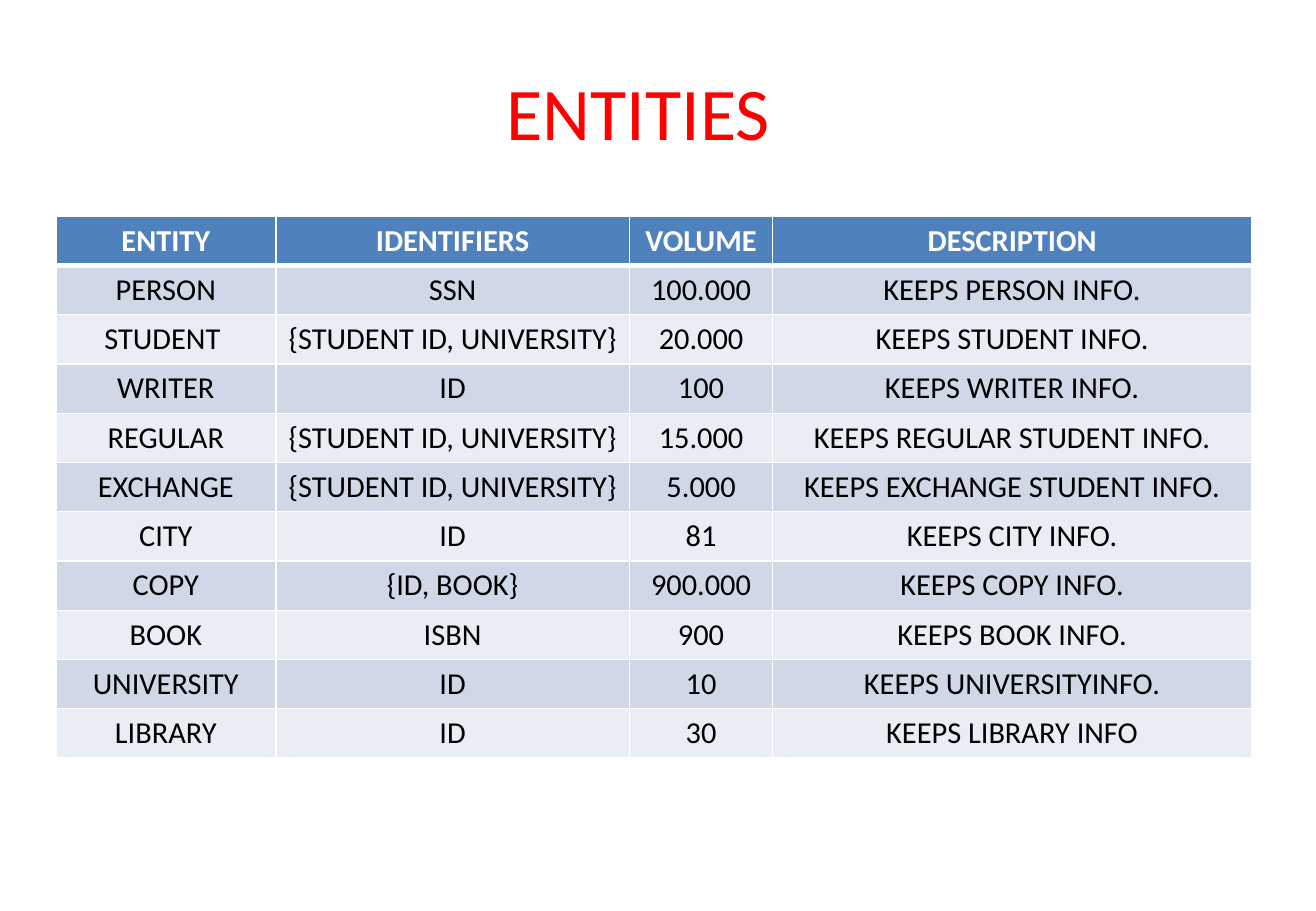
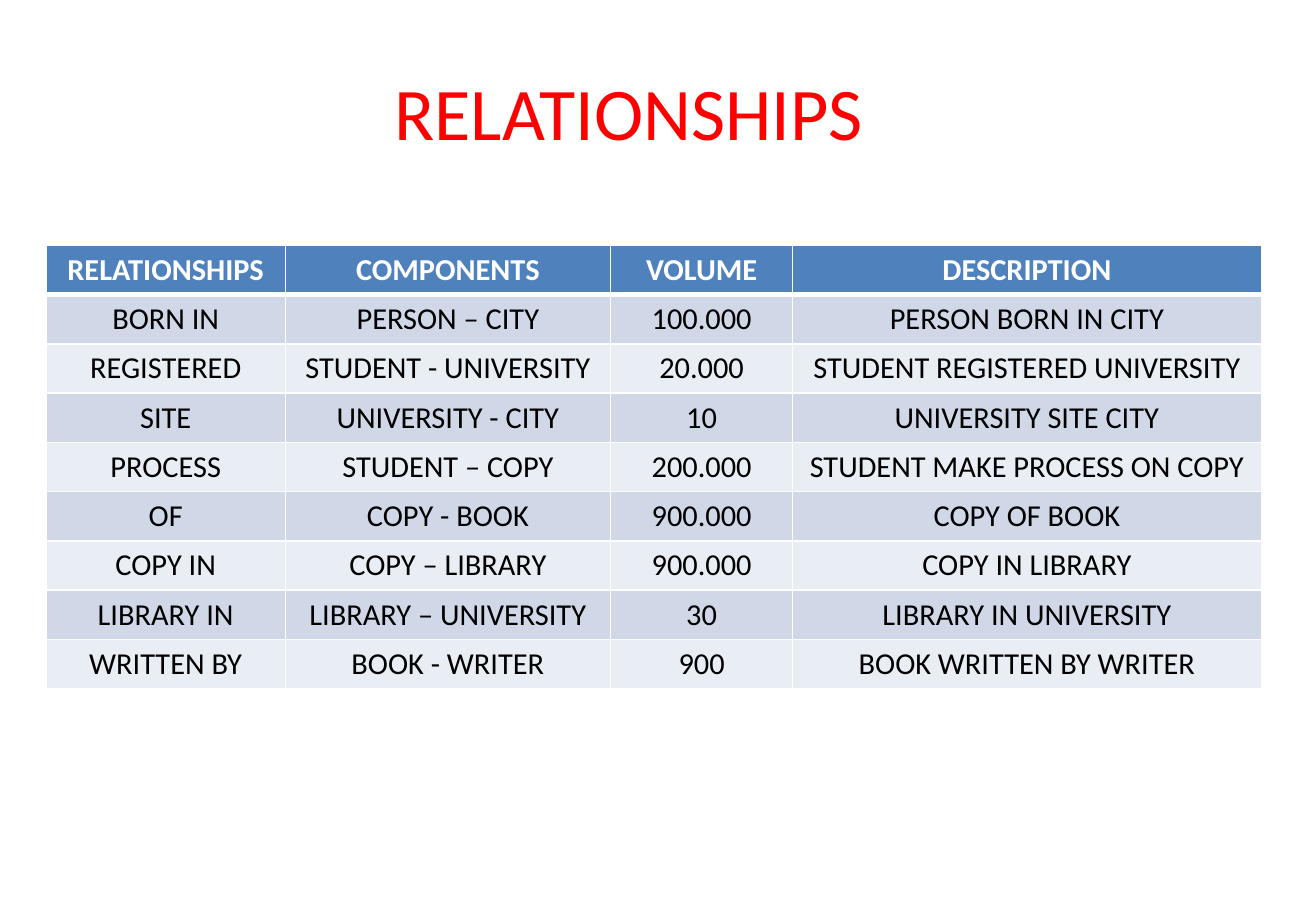
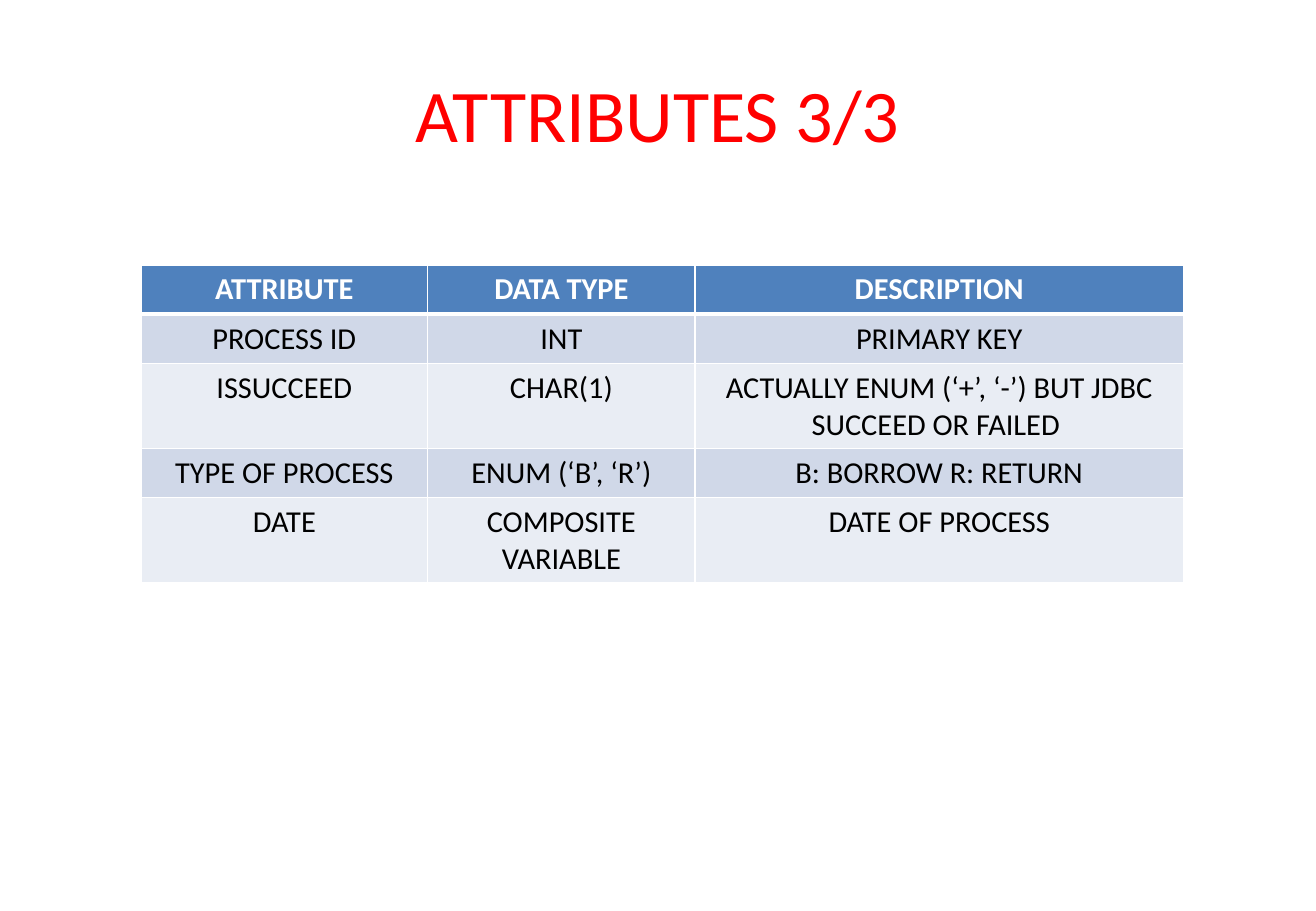
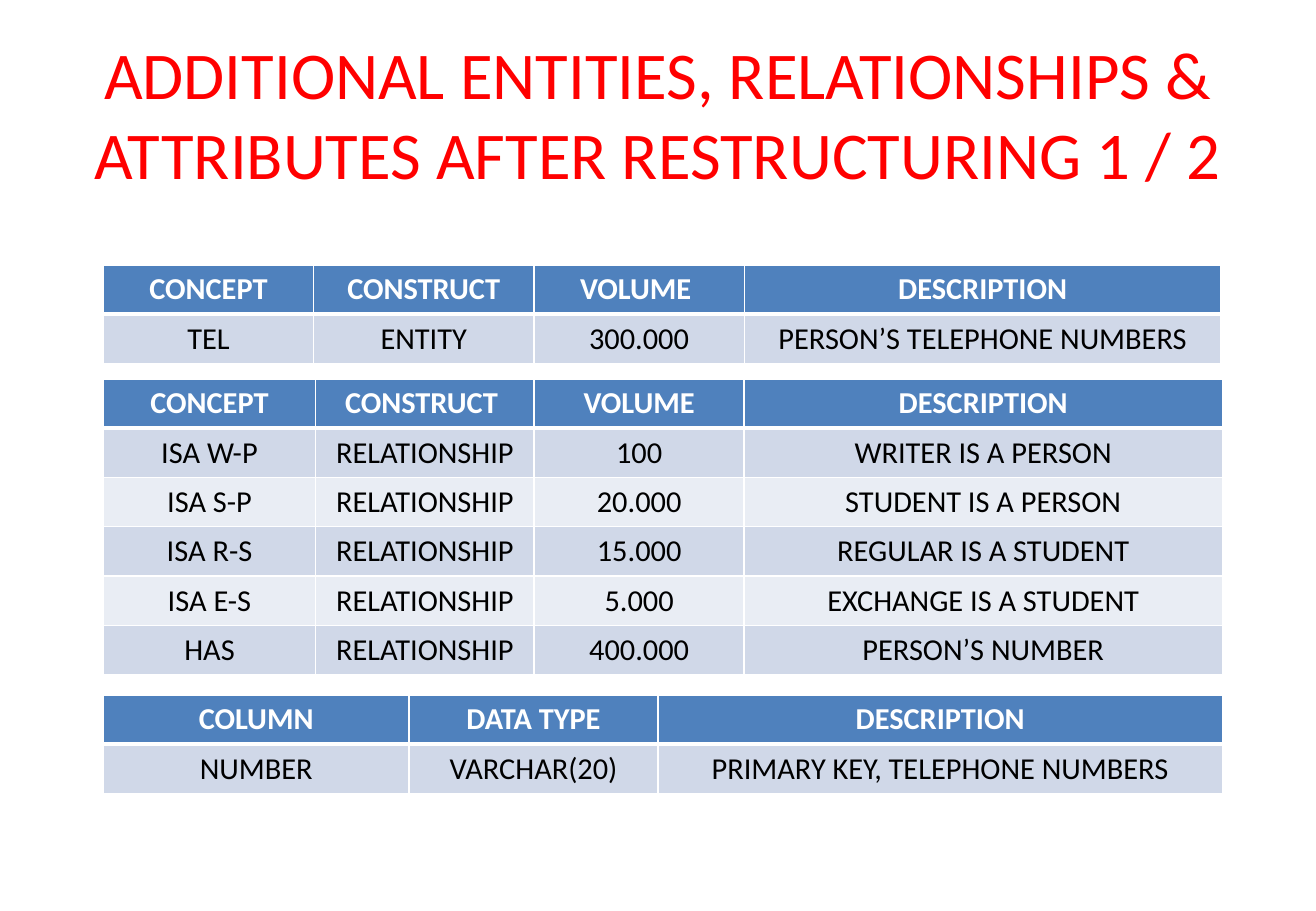
import pptx
import pptx.util
import pptx.dml.color
import pptx.enum.text
import pptx.oxml
import pptx.oxml.ns

Inches = pptx.util.Inches
Pt = pptx.util.Pt
RGB = pptx.dml.color.RGBColor.from_string
CENTER = pptx.enum.text.PP_ALIGN.CENTER
MIDDLE = pptx.enum.text.MSO_ANCHOR.MIDDLE

THEME = {
    "title": {"name": "Calibri", "size": Pt(44), "color": "FF0000", "bold": False},
    "head": {"name": "Calibri", "size": Pt(18), "color": "FFFFFF", "bold": True},
    "body": {"name": "Calibri", "size": Pt(18), "color": "000000", "bold": False},
    "small": Pt(39.6),
    "top": "4F81BD",
    "bands": ["D0D8E8", "E9EDF4"],
    "rule": "FFFFFF",
    "thin": Pt(1),
    "thick": Pt(3),
    "row": Inches(29.2 / 72),
}


def style(frame, form):
    """Centre every paragraph of a frame and apply a text format."""
    for para in frame.paragraphs:
        para.alignment = CENTER
        for run in para.runs:
            for key, value in form.items():
                if key == "color":
                    run.font.color.rgb = RGB(value)
                else:
                    setattr(run.font, key, value)


def title(slide, box, text, size=None):
    """Place the slide title in its box."""
    frame = slide.shapes.add_textbox(*map(Inches, box)).text_frame
    for key, value in {"word_wrap": True, "vertical_anchor": MIDDLE, "text": text}.items():
        setattr(frame, key, value)
    form = THEME["title"]
    style(frame, {**form, "size": size or form["size"]})


def edge(cell, sides):
    """Draw the borders of a cell, given as a width for each side."""
    props = cell._tc.get_or_add_tcPr()
    for side, width in sides.items():
        props.append(pptx.oxml.parse_xml(
            f'<a:ln{side} {pptx.oxml.ns.nsdecls("a")} w="{width}"><a:solidFill>'
            f'<a:srgbClr val="{THEME["rule"]}"/></a:solidFill></a:ln{side}>'))


def table(slide, box, cols, rows):
    """Place a table with a header row and banded body rows."""
    left, top, width = map(Inches, box)
    grid = slide.shapes.add_table(
        len(rows), len(cols), left, top, width, THEME["row"] * len(rows)).table
    for col, part in zip(grid.columns, cols):
        col.width = int(width * part / sum(cols))
    thin, thick = THEME["thin"], THEME["thick"]
    for i, row in enumerate(rows):
        grid.rows[i].height = THEME["row"]
        fill = THEME["bands"][(i - 1) % 2] if i else THEME["top"]
        sides = {"L": thin, "R": thin, "T": thick if i == 1 else thin,
                 "B": thin if i else thick}
        for j, text in enumerate(row):
            cell = grid.cell(i, j)
            cell.text = text
            style(cell.text_frame, THEME["body" if i else "head"])
            edge(cell, sides)
            cell.fill.solid()
            cell.fill.fore_color.rgb = RGB(fill)


def page(deck, head, tables):
    """Add a slide with a title and its tables."""
    slide = deck.slides.add_slide(deck.slide_layouts[6])
    title(slide, *head)
    for parts in tables:
        table(slide, *parts)


PAIR = "{STUDENT ID, UNIVERSITY}"
LINK = "RELATIONSHIP"

PAGES = [
    (((0.38, 0.29, 9.75, 1.25), "ENTITIES"), [
        ((0.46, 1.78, 9.84), [1.81, 2.91, 1.18, 3.94], [
            ("ENTITY", "IDENTIFIERS", "VOLUME", "DESCRIPTION"),
            ("PERSON", "SSN", "100.000", "KEEPS PERSON INFO."),
            ("STUDENT ", PAIR, "20.000", "KEEPS STUDENT INFO."),
            ("WRITER", "ID", "100", "KEEPS WRITER INFO."),
            ("REGULAR", PAIR, "15.000", "KEEPS REGULAR STUDENT INFO."),
            ("EXCHANGE", PAIR, "5.000", "KEEPS EXCHANGE STUDENT INFO."),
            ("CITY", "ID", "81", "KEEPS CITY INFO."),
            ("COPY", "{ID, BOOK}", "900.000", "KEEPS COPY INFO."),
            ("BOOK", "ISBN", "900", "KEEPS BOOK INFO."),
            ("UNIVERSITY", "ID", "10", "KEEPS UNIVERSITYINFO."),
            ("LIBRARY", "ID", "30", "KEEPS LIBRARY INFO"),
        ]),
    ]),
    (((0.3, 0.29, 9.75, 1.25), "RELATIONSHIPS"), [
        ((0.38, 2.02, 10), [1.97, 2.68, 1.5, 3.86], [
            ("RELATIONSHIPS", "COMPONENTS", "VOLUME", "DESCRIPTION"),
            ("BORN IN", "PERSON – CITY", "100.000", "PERSON BORN IN CITY"),
            ("REGISTERED", "STUDENT - UNIVERSITY", "20.000",
             "STUDENT REGISTERED UNIVERSITY"),
            ("SITE", "UNIVERSITY - CITY", "10", "UNIVERSITY SITE CITY"),
            ("PROCESS", "STUDENT – COPY", "200.000", "STUDENT MAKE PROCESS ON COPY"),
            ("OF", "COPY - BOOK", "900.000", "COPY OF BOOK"),
            ("COPY IN", "COPY – LIBRARY", "900.000", "COPY IN LIBRARY"),
            ("LIBRARY IN", "LIBRARY – UNIVERSITY", "30", "LIBRARY IN UNIVERSITY"),
            ("WRITTEN BY", "BOOK - WRITER", "900", "BOOK WRITTEN BY WRITER"),
        ]),
    ]),
    (((0.54, 0.3, 9.75, 1.25), "ATTRIBUTES 3/3"), [
        ((1.16, 2.18, 8.58), [2.36, 2.2, 4.02], [
            ("ATTRIBUTE", "DATA TYPE", "DESCRIPTION"),
            ("PROCESS ID", "INT", "PRIMARY KEY"),
            ("ISSUCCEED", "CHAR(1)",
             "ACTUALLY ENUM (‘+’, ‘-’) BUT JDBC\nSUCCEED OR FAILED "),
            ("TYPE OF PROCESS", "ENUM (‘B’, ‘R’)", "B: BORROW R: RETURN"),
            ("DATE", "COMPOSITE VARIABLE", "DATE OF PROCESS"),
        ]),
    ]),
    (((0.54, 0.3, 9.75, 1.25),
      "ADDITIONAL ENTITIES, RELATIONSHIPS & ATTRIBUTES AFTER RESTRUCTURING 1 / 2",
      THEME["small"]), [
        ((0.85, 2.18, 9.2), [1.73, 1.81, 1.73, 3.92], [
            ("CONCEPT", "CONSTRUCT", "VOLUME ", "DESCRIPTION"),
            ("TEL", "ENTITY", "300.000", "PERSON’S TELEPHONE NUMBERS"),
        ]),
        ((0.85, 3.12, 9.21), [1.75, 1.8, 1.73, 3.94], [
            ("CONCEPT", "CONSTRUCT ", "VOLUME", "DESCRIPTION"),
            ("ISA W-P", LINK, "100", "WRITER IS A PERSON"),
            ("ISA S-P", LINK, "20.000", "STUDENT IS A PERSON"),
            ("ISA R-S", LINK, "15.000", "REGULAR IS A STUDENT"),
            ("ISA E-S", LINK, "5.000", "EXCHANGE IS A STUDENT"),
            ("HAS", LINK, "400.000", "PERSON’S NUMBER"),
        ]),
        ((0.85, 5.72, 9.21), [2.52, 2.05, 4.65], [
            ("COLUMN", "DATA TYPE", "DESCRIPTION"),
            ("NUMBER", "VARCHAR(20)", "PRIMARY KEY, TELEPHONE NUMBERS"),
        ]),
    ]),
]

deck = pptx.Presentation()
for key, value in {"slide_width": Inches(10.83), "slide_height": Inches(7.5)}.items():
    setattr(deck, key, value)
for head, tables in PAGES:
    page(deck, head, tables)
deck.save("out.pptx")
